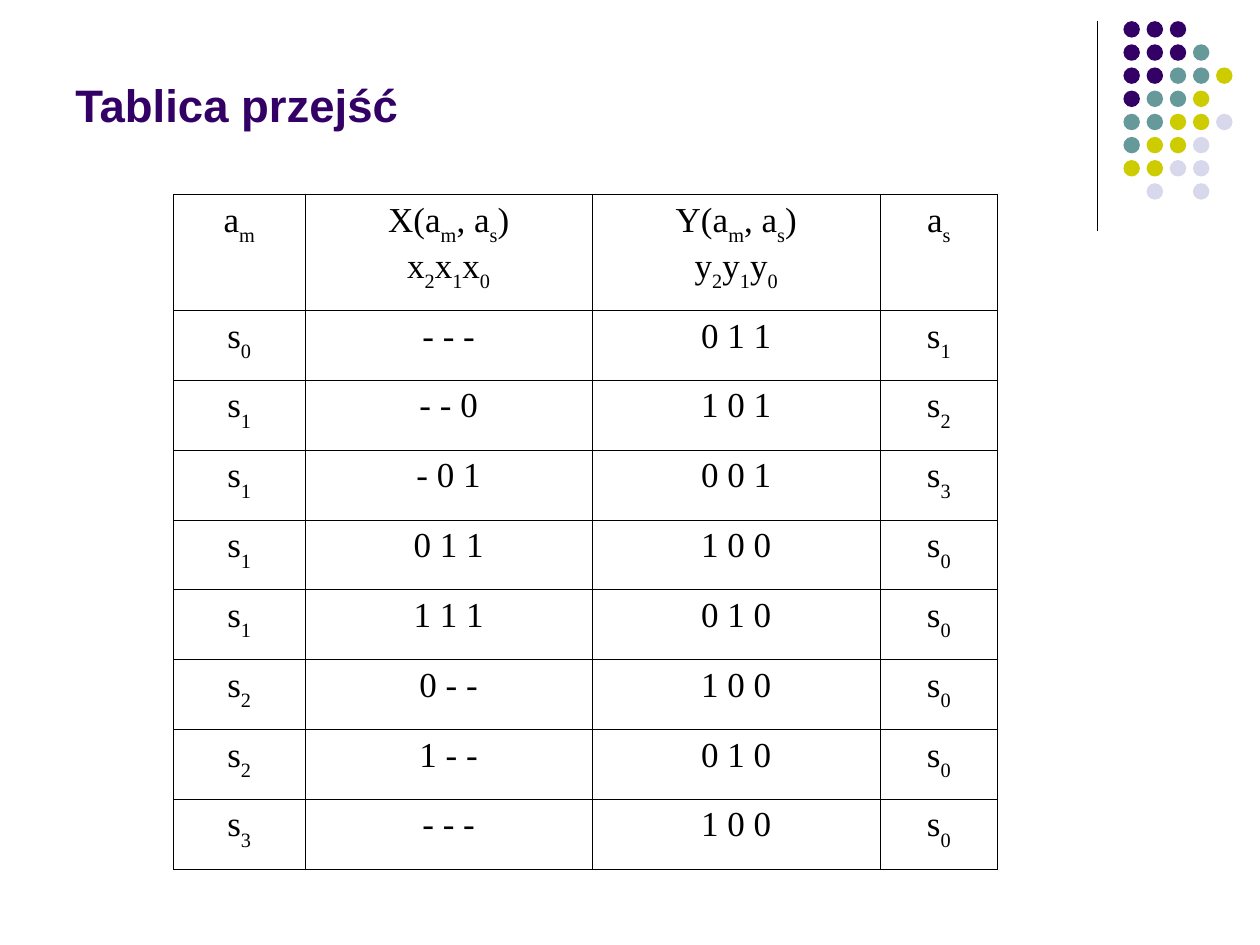
from dataclasses import dataclass

from lxml import etree
from pptx import Presentation
from pptx import util as u
from pptx.dml.color import RGBColor
from pptx.enum import shapes, text
from pptx.oxml import ns


@dataclass(frozen=True)
class Theme:
    purple: str = "330066"
    teal: str = "669999"
    olive: str = "CCCC00"
    lavender: str = "D8D8EC"
    black: str = "000000"
    title_font: str = "Arial"
    table_font: str = "Times New Roman"
    title_size: float = 26
    table_size: float = 20
    rule_width: float = 0.75
    border_width: float = 0.45


THEME = Theme()
TITLE_FORMAT = {"name": THEME.title_font, "size": u.Pt(THEME.title_size), "bold": True}
TABLE_FORMAT = {"name": THEME.table_font, "size": u.Pt(THEME.table_size), "bold": False}

DOT_COLORS = {"P": THEME.purple, "T": THEME.teal, "O": THEME.olive, "L": THEME.lavender}
DOT_ROWS = ["PPP", "PPPT", "PPTTO", "PTTO", "TTOOL", "TOOL", "OOLL", " L L"]

# An underscore makes the next character a subscript; a newline starts a paragraph.
HEADER = ["a_m", "X(a_m, a_s)\nx_2x_1x_0", "Y(a_m, a_s)\ny_2y_1y_0", "a_s"]
TRANSITIONS = [
    ["s_0", "- - -", "0 1 1", "s_1"],
    ["s_1", "- - 0", "1 0 1", "s_2"],
    ["s_1", "- 0 1", "0 0 1", "s_3"],
    ["s_1", "0 1 1", "1 0 0", "s_0"],
    ["s_1", "1 1 1", "0 1 0", "s_0"],
    ["s_2", "0 - -", "1 0 0", "s_0"],
    ["s_2", "1 - -", "0 1 0", "s_0"],
    ["s_3", "- - -", "1 0 0", "s_0"],
]


def points(*values):
    return [u.Pt(value) for value in values]


def format_font(font, values, color):
    for name, value in values.items():
        setattr(font, name, value)
    font.color.rgb = RGBColor.from_string(color)


def add_title(slide, box, wording):
    title = slide.shapes.title
    title.left, title.top, title.width, title.height = points(*box)
    frame = title.text_frame
    frame.text = wording
    frame.word_wrap = True
    frame.auto_size = text.MSO_AUTO_SIZE.NONE
    frame.vertical_anchor = text.MSO_ANCHOR.BOTTOM
    paragraph = frame.paragraphs[0]
    paragraph.alignment = text.PP_ALIGN.LEFT
    format_font(paragraph.runs[0].font, TITLE_FORMAT, THEME.purple)


def add_ornament(slide, box, dot_offset=15, pitch=13.23, diameter=9.4):
    left, top, _, height = box
    # Vertical rule
    rule = slide.shapes.add_connector(
        shapes.MSO_CONNECTOR.STRAIGHT, *points(left, top, left, top + height))
    rule.line.color.rgb = RGBColor.from_string(THEME.black)
    rule.line.width = u.Pt(THEME.rule_width)
    etree.SubElement(rule._element.spPr, ns.qn("a:effectLst"))

    # Grid of dots
    group = slide.shapes.add_group_shape()
    for row, codes in enumerate(DOT_ROWS):
        for column, code in enumerate(codes):
            if code not in DOT_COLORS:
                continue
            dot = group.shapes.add_shape(
                shapes.MSO_SHAPE.OVAL,
                *points(left + dot_offset + column * pitch, top + row * pitch,
                        diameter, diameter))
            dot.shadow.inherit = False
            dot.fill.solid()
            dot.fill.fore_color.rgb = RGBColor.from_string(DOT_COLORS[code])
            dot.line.fill.background()


def write_subscripted(paragraph, wording):
    head, *tails = wording.split("_")
    pieces = [(head, False)]
    for tail in tails:
        pieces += [(tail[0], True), (tail[1:], False)]
    for piece, is_subscript in pieces:
        if not piece:
            continue
        run = paragraph.add_run()
        run.text = piece
        format_font(run.font, TABLE_FORMAT, THEME.black)
        if is_subscript:
            run._r.get_or_add_rPr().set("baseline", "-30000")


def set_borders(cell):
    properties = cell._tc.get_or_add_tcPr()
    for index, side in enumerate(("a:lnL", "a:lnR", "a:lnT", "a:lnB")):
        line = etree.Element(ns.qn(side), w=str(u.Pt(THEME.border_width)))
        fill = etree.SubElement(line, ns.qn("a:solidFill"))
        etree.SubElement(fill, ns.qn("a:srgbClr"), val=THEME.black)
        properties.insert(index, line)


def add_transition_table(slide, box, column_widths, header_height):
    rows = [HEADER] + TRANSITIONS
    table = slide.shapes.add_table(len(rows), len(HEADER), *points(*box)).table
    table.first_row = table.horz_banding = False
    row_height = (box[3] - header_height) / len(TRANSITIONS)
    for column, width in zip(table.columns, column_widths):
        column.width = u.Pt(width)
    for index, row in enumerate(table.rows):
        row.height = u.Pt(row_height if index else header_height)
    for row_index, values in enumerate(rows):
        for column_index, value in enumerate(values):
            cell = table.cell(row_index, column_index)
            cell.fill.background()
            set_borders(cell)
            frame = cell.text_frame
            for number, wording in enumerate(value.split("\n")):
                paragraph = frame.add_paragraph() if number else frame.paragraphs[0]
                paragraph.alignment = text.PP_ALIGN.CENTER
                write_subscripted(paragraph, wording)


def main():
    presentation = Presentation()
    presentation.slide_width, presentation.slide_height = points(720, 540)
    slide = presentation.slides.add_slide(presentation.slide_layouts[5])
    add_ornament(slide, (627, 12.1, 78, 120))
    add_title(slide, (35.8, 9.6, 594, 69.2), "Tablica przejść")
    add_transition_table(slide, (99.1, 111.2, 471, 385.6),
                         column_widths=(75.2, 164.2, 164.5, 67.1), header_height=66.2)
    presentation.save("out.pptx")


if __name__ == "__main__":
    main()
